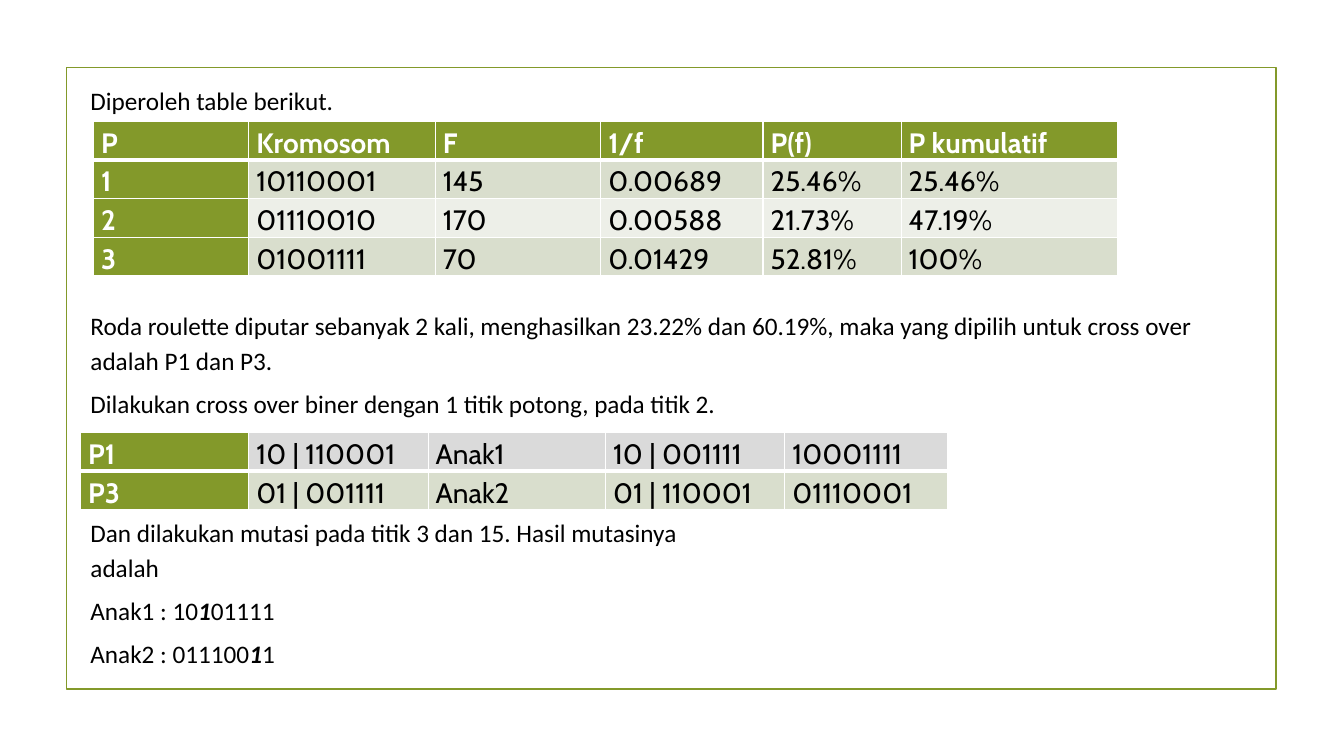
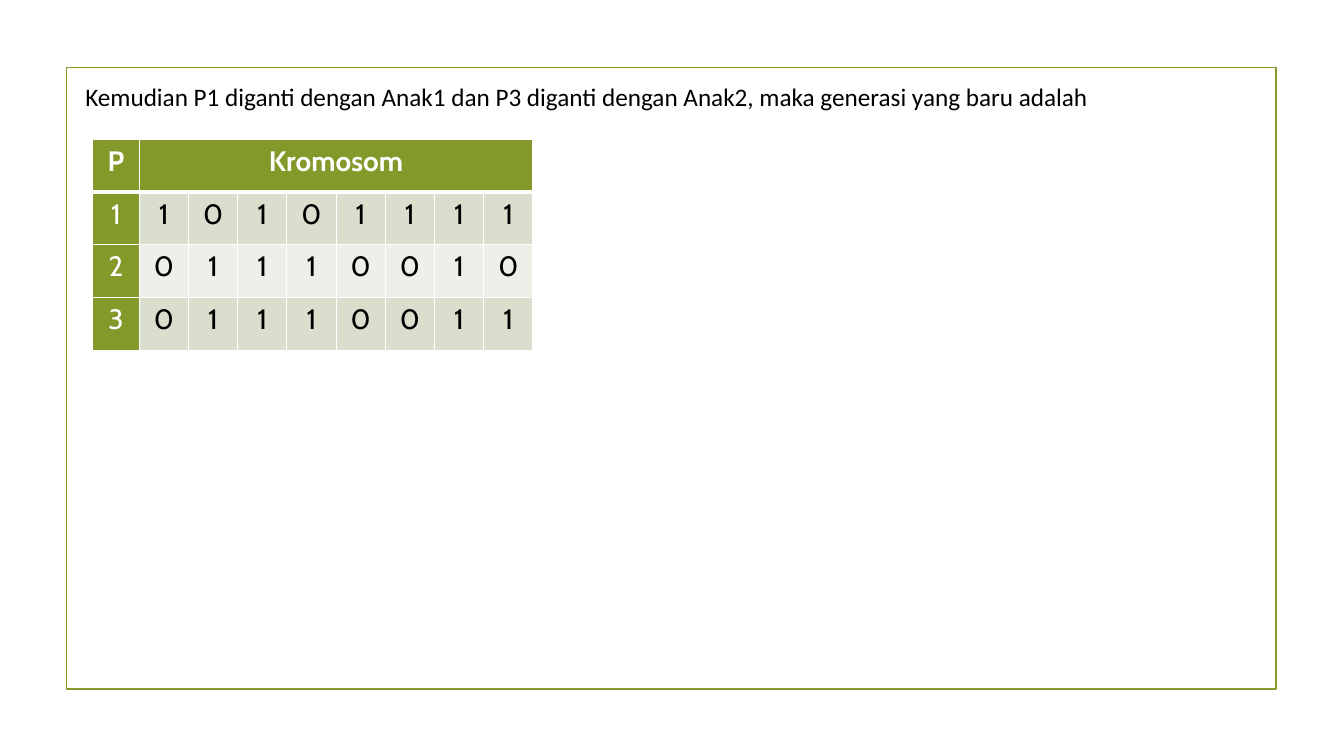
from lxml import etree
from pptx import Presentation
from pptx import util as u
from pptx.dml.color import RGBColor
from pptx.enum import shapes, text
from pptx.oxml import ns

GREEN = "83992A"
SAGE = "D9DECD"
MIST = "EDEFE8"
GREY = "DADADA"
WHITE = "FFFFFF"
BLACK = "000000"


def color(value):
    return RGBColor.from_string(value)


def apply(target, values):
    for name, value in values.items():
        setattr(target, name, value)


class Deck:
    body_font = {"name": "Calibri", "size": u.Pt(18)}
    table_font = {"name": "Cabin", "size": u.Pt(20)}
    spacing = {"line_spacing": 1.15, "space_after": u.Pt(6)}
    centered = {"alignment": text.PP_ALIGN.CENTER}
    tight = {"margin_left": u.Cm(0.19), "margin_right": u.Cm(0.19),
             "margin_top": 0, "margin_bottom": 0}

    def __init__(self):
        self.deck = Presentation()
        apply(self.deck, {"slide_width": u.Cm(33.87), "slide_height": u.Cm(19.05)})
        self.page = None

    def add_page(self):
        self.page = self.deck.slides.add_slide(self.deck.slide_layouts[6])
        frame = self.page.shapes.add_shape(
            shapes.MSO_SHAPE.RECTANGLE, u.Cm(1.68), u.Cm(1.7), u.Cm(30.48), u.Cm(15.67))
        frame.shadow.inherit = False
        frame.fill.background()
        frame.line.color.rgb = color(GREEN)
        frame.line.width = u.Pt(1.25)

    def add_span(self, para, content, font, ink, **emphasis):
        span = para.add_run()
        span.text = content
        apply(span.font, {**font, **emphasis})
        span.font.color.rgb = color(ink)

    def add_text(self, left, top, width, height, paragraphs, wrap=True):
        box = self.page.shapes.add_textbox(u.Cm(left), u.Cm(top), u.Cm(width), u.Cm(height))
        frame = box.text_frame
        apply(frame, {"word_wrap": wrap, "auto_size": text.MSO_AUTO_SIZE.SHAPE_TO_FIT_TEXT})
        for index, parts in enumerate(paragraphs):
            para = frame.add_paragraph() if index else frame.paragraphs[0]
            apply(para, self.spacing)
            for position, part in enumerate(parts):
                marked = position % 2 == 1
                self.add_span(para, part, self.body_font, BLACK, bold=marked, italic=marked)

    def add_borders(self, cell, bottom):
        properties = cell._tc.get_or_add_tcPr()
        widths = {"lnL": 1, "lnR": 1, "lnT": 1, "lnB": bottom}
        for index, (side, points) in enumerate(widths.items()):
            line = etree.Element(ns.qn(f"a:{side}"), w=str(u.Pt(points)))
            fill = etree.SubElement(line, ns.qn("a:solidFill"))
            etree.SubElement(fill, ns.qn("a:srgbClr"), val=WHITE)
            properties.insert(index, line)

    def add_table(self, left, top, widths, row_height, rows, fills,
                  para_format, margins, bold_labels=True):
        """A row with fewer entries than columns stretches its last entry."""
        table = self.page.shapes.add_table(
            len(rows), len(widths), u.Cm(left), u.Cm(top),
            u.Cm(sum(widths)), u.Cm(row_height * len(rows))).table
        apply(table, {"first_row": False, "horz_banding": False})
        for column, width in zip(table.columns, widths):
            column.width = u.Cm(width)
        for r, (entries, row_fill) in enumerate(zip(rows, fills)):
            table.rows[r].height = u.Cm(row_height)
            if len(entries) < len(widths):
                table.cell(r, len(entries) - 1).merge(table.cell(r, len(widths) - 1))
            for c in range(len(widths)):
                cell = table.cell(r, c)
                fill = row_fill if c else GREEN
                cell.fill.solid()
                cell.fill.fore_color.rgb = color(fill)
                self.add_borders(cell, 1 if r else 3)
                apply(cell, margins)
                if c < len(entries):
                    para = cell.text_frame.paragraphs[0]
                    apply(para, para_format)
                    label = fill == GREEN
                    self.add_span(para, entries[c], self.table_font,
                                  WHITE if label else BLACK,
                                  bold=row_fill == GREEN or (label and bold_labels))


def build_selection(deck):
    deck.add_page()
    deck.add_text(2.03, 1.9, 6.71, 1.14, [["Diperoleh table berikut."]], wrap=False)
    deck.add_table(
        2.36, 3.05, [3.91, 4.7, 4.17, 4.09, 3.48, 5.46], 0.97,
        [["P", "Kromosom", "F", "1/f", "P(f)", "P kumulatif"],
         ["1", "10110001", "145", "0.00689", "25.46%", "25.46%"],
         ["2", "01110010", "170", "0.00588", "21.73%", "47.19%"],
         ["3", "01001111", "70", "0.01429", "52.81%", "100%"]],
        [GREEN, SAGE, MIST, SAGE], deck.spacing, deck.tight)
    deck.add_text(2.03, 7.59, 28.83, 3.12, [
        ["Roda roulette diputar sebanyak 2 kali, menghasilkan 23.22% dan 60.19%, "
         "maka yang dipilih untuk cross over adalah P1 dan P3."],
        ["Dilakukan cross over biner dengan 1 titik potong, pada titik 2."]])
    deck.add_table(
        2.03, 10.9, [4.24, 4.52, 4.47, 4.52, 4.11], 0.97,
        [["P1", "10 | 110001", "Anak1", "10 | 001111", "10001111"],
         ["P3", "01 | 001111", "Anak2", "01 | 110001", "01110001"]],
        [GREY, SAGE], deck.spacing, deck.tight)
    deck.add_text(2.03, 12.8, 16.94, 4.22, [
        ["Dan dilakukan mutasi pada titik 3 dan 15. Hasil mutasinya adalah"],
        ["Anak1 : 10", "1", "01111"],
        ["Anak2 : 011100", "1", "1"]])


def build_generation(deck):
    deck.add_page()
    deck.add_text(1.9, 1.8, 26.97, 1.14, [
        ["Kemudian P1 diganti dengan Anak1 dan P3 diganti dengan Anak2, "
         "maka generasi yang baru adalah"]])
    chromosomes = ["10101111", "01110010", "01110011"]
    rows = [["P", "Kromosom"]]
    rows += [[str(number), *genes] for number, genes in enumerate(chromosomes, 1)]
    deck.add_table(2.34, 3.51, [1.17] + [1.24] * 8, 1.33, rows,
                   [GREEN, SAGE, MIST, SAGE], deck.centered, {}, bold_labels=False)


def main():
    deck = Deck()
    build_selection(deck)
    build_generation(deck)
    deck.deck.save("out.pptx")


if __name__ == "__main__":
    main()
